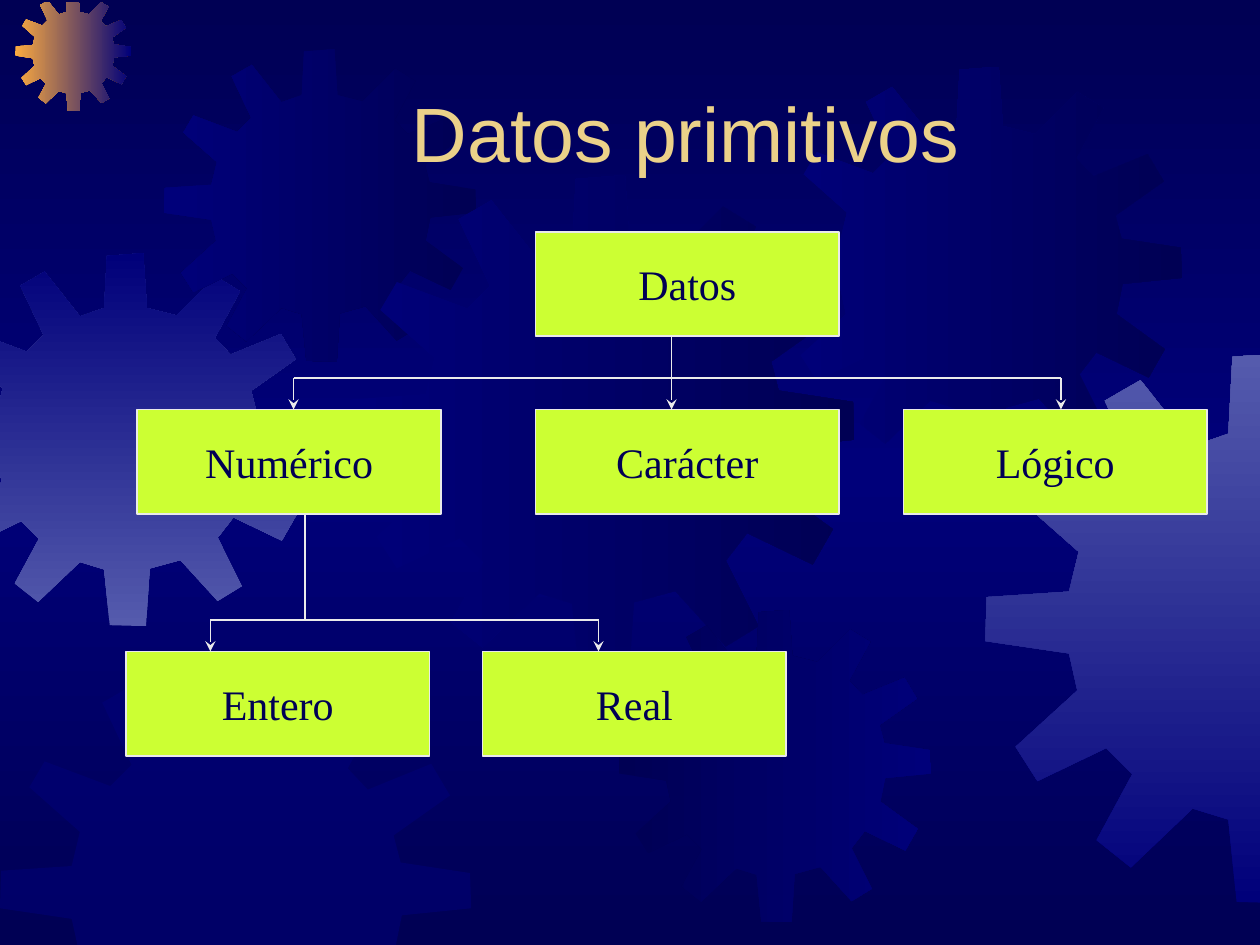
from copy import deepcopy

from lxml.etree import SubElement
from pptx import Presentation
from pptx.dml.color import RGBColor as RGB
from pptx.enum.shapes import MSO_CONNECTOR as CONN, MSO_SHAPE as SHAPE
from pptx.enum.text import MSO_ANCHOR as ANCHOR, PP_ALIGN as ALIGN
from pptx.oxml.ns import qn
from pptx.util import Inches, Pt

C = {
    "navy": "000054", "blue": "00007A", "lilac": "555BAD", "orange": "FCAB40",
    "gold": "EBD189", "lime": "CCFF33", "line": "EAEAEA",
}

GEAR_SIZE = 4.01
GEAR = [
    (2.55, 0.67), (2.23, 0.59), (2.19, 0), (1.8, 0.03), (1.77, 0.59), (1.51, 0.68),
    (1.13, 0.2), (0.87, 0.35), (1.12, 0.88), (0.94, 1.06), (0.38, 0.85), (0.25, 1.07),
    (0.68, 1.45), (0.61, 1.74), (0.01, 1.78), (0, 2.1), (0.61, 2.19), (0.67, 2.46),
    (0.22, 2.87), (0.38, 3.12), (0.88, 2.88), (1.07, 3.07), (0.81, 3.55), (1.06, 3.75),
    (1.51, 3.32), (1.77, 3.4), (1.83, 4), (2.22, 4.01), (2.26, 3.39), (2.59, 3.3),
    (2.99, 3.74), (3.25, 3.58), (2.99, 3.06), (3.16, 2.84), (3.68, 3.09), (3.84, 2.81),
    (3.36, 2.46), (3.42, 2.16), (4.01, 2.1), (4, 1.8), (3.41, 1.71), (3.35, 1.48),
    (3.83, 1.14), (3.67, 0.87), (3.13, 1.09), (2.96, 0.91), (3.23, 0.41), (2.97, 0.25),
]
EDGES = [(0, -0.01, 1), (0, 10.01, -1), (1, 0.02, 1), (1, 7.54, -1)]

GEARS = [
    (-0.48, 2.01, 2.96, ("lilac", "blue"), 90),
    (0.12, -0.04, 0.92, ("orange", "blue"), 0),
    (1.3, 0.39, 2.48, ("navy", "blue"), 180),
    (2.77, 1.39, 4.01, ("blue", "navy"), 0),
    (0, 5.25, 3.74, ("blue",), 0),
    (4.91, 4.84, 2.48, ("navy", "blue"), 0),
    (6.18, 0.53, 3.2, ("blue", "navy"), 0),
    (7.82, 2.8, 4.37, ("blue", "lilac"), 90),
]

BOX_W, BOX_H = 2.41, 0.83
BOXES = [
    ("Datos", 4.25, 1.84), ("Carácter", 4.25, 3.25), ("Numérico", 1.09, 3.25),
    ("Lógico", 7.17, 3.25), ("Entero", 1, 5.17), ("Real", 3.83, 5.17),
]
LINES = [
    (5.33, 2.67, 5.33, 3.25, True), (2.33, 3, 8.42, 3, False),
    (2.33, 3, 2.33, 3.25, True), (8.42, 3, 8.42, 3.25, True),
    (1.67, 4.92, 4.75, 4.92, False), (2.42, 4.08, 2.42, 4.92, False),
    (1.67, 4.92, 1.67, 5.17, True), (4.75, 4.92, 4.75, 5.17, True),
]


def clip(points, axis, limit, sign):
    kept = []
    for a, b in zip(points, points[1:] + points[:1]):
        da, db = (sign * (q[axis] - limit) for q in (a, b))
        if da >= 0:
            kept.append(a)
        if da * db < 0:
            t = da / (da - db)
            kept.append(tuple(u + t * (v - u) for u, v in zip(a, b)))
    return kept


def write(sp, text, font, size, color, align):
    tf = sp.text_frame
    tf.vertical_anchor = ANCHOR.MIDDLE
    p = tf.paragraphs[0]
    p.alignment = align
    r = p.add_run()
    r.text = text
    for key, value in {"name": font, "size": Pt(size)}.items():
        setattr(r.font, key, value)
    r.font.color.rgb = RGB.from_string(C[color])
    return tf


prs = Presentation()
prs.slide_width, prs.slide_height = Inches(10), Inches(7.5)
s = prs.slides.add_slide(prs.slide_layouts[6])

fill = s.background.fill
fill.gradient()
fill.gradient_angle = 270
stop_list = s._element.xpath(".//p:bg//a:gsLst")[0]
stop_list.insert(1, deepcopy(stop_list[0]))
for stop, color, position in zip(fill.gradient_stops, ("navy", "blue", "navy"), (0, 0.5, 1)):
    stop.color.rgb = RGB.from_string(C[color])
    stop.position = position

for left, top, size, colors, angle in GEARS:
    k = size / GEAR_SIZE
    points = [(left + x * k, top + y * k) for x, y in GEAR]
    for edge in EDGES:
        points = clip(points, *edge)
    points = [(Inches(x), Inches(y)) for x, y in points]
    builder = s.shapes.build_freeform(*points[0])
    builder.add_line_segments(points[1:], close=True)
    sp = builder.convert_to_shape()
    sp.shadow.inherit = False
    sp.line.fill.background()
    if len(colors) == 1:
        sp.fill.solid()
        sp.fill.fore_color.rgb = RGB.from_string(C[colors[0]])
        rgb = sp._element.spPr.find(qn("a:solidFill"))[0]
        SubElement(rgb, qn("a:alpha"), val="50000")
    else:
        sp.fill.gradient()
        sp.fill.gradient_angle = angle
        for stop, color, position in zip(sp.fill.gradient_stops, colors, (0, 1)):
            stop.color.rgb = RGB.from_string(C[color])
            stop.position = position

title = s.shapes.add_textbox(Inches(3.17), Inches(0.42), Inches(5.08), Inches(1.25))
write(title, "Datos primitivos", "Arial", 44, "gold", ALIGN.LEFT).word_wrap = True

for text, x, y in BOXES:
    sp = s.shapes.add_shape(SHAPE.RECTANGLE, Inches(x), Inches(y), Inches(BOX_W), Inches(BOX_H))
    sp.shadow.inherit = False
    sp.fill.solid()
    sp.fill.fore_color.rgb = RGB.from_string(C["lime"])
    sp.line.color.rgb = RGB.from_string(C["line"])
    sp.line.width = Pt(1)
    write(sp, text, "Times New Roman", 24, "navy", ALIGN.CENTER).word_wrap = False

for x1, y1, x2, y2, arrow in LINES:
    cn = s.shapes.add_connector(CONN.STRAIGHT, Inches(x1), Inches(y1), Inches(x2), Inches(y2))
    cn.line.color.rgb = RGB.from_string(C["line"])
    cn.line.width = Pt(1)
    if arrow:
        SubElement(cn.line._get_or_add_ln(), qn("a:tailEnd"), type="stealth")
    SubElement(cn._element.spPr, qn("a:effectLst"))

prs.save("out.pptx")
